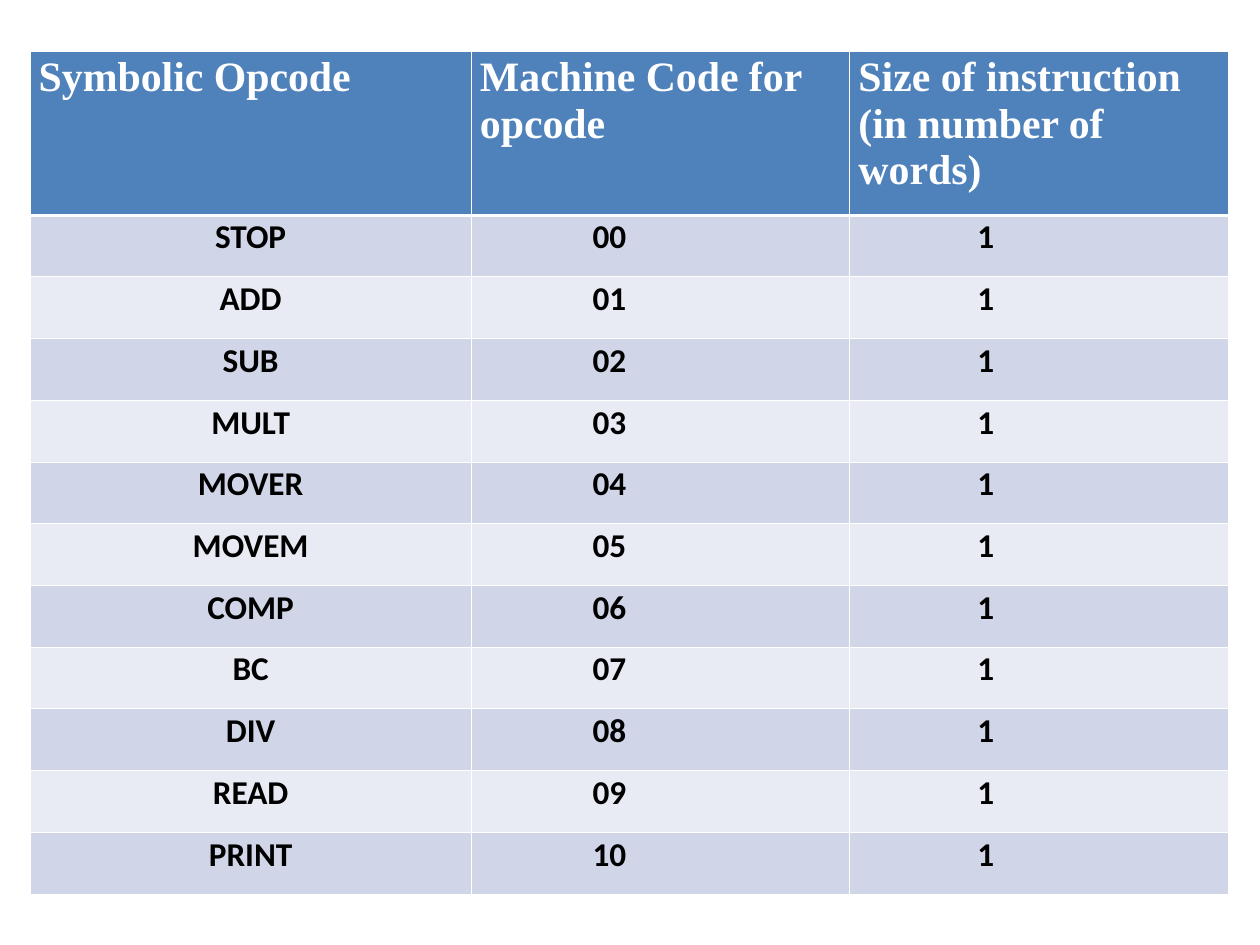
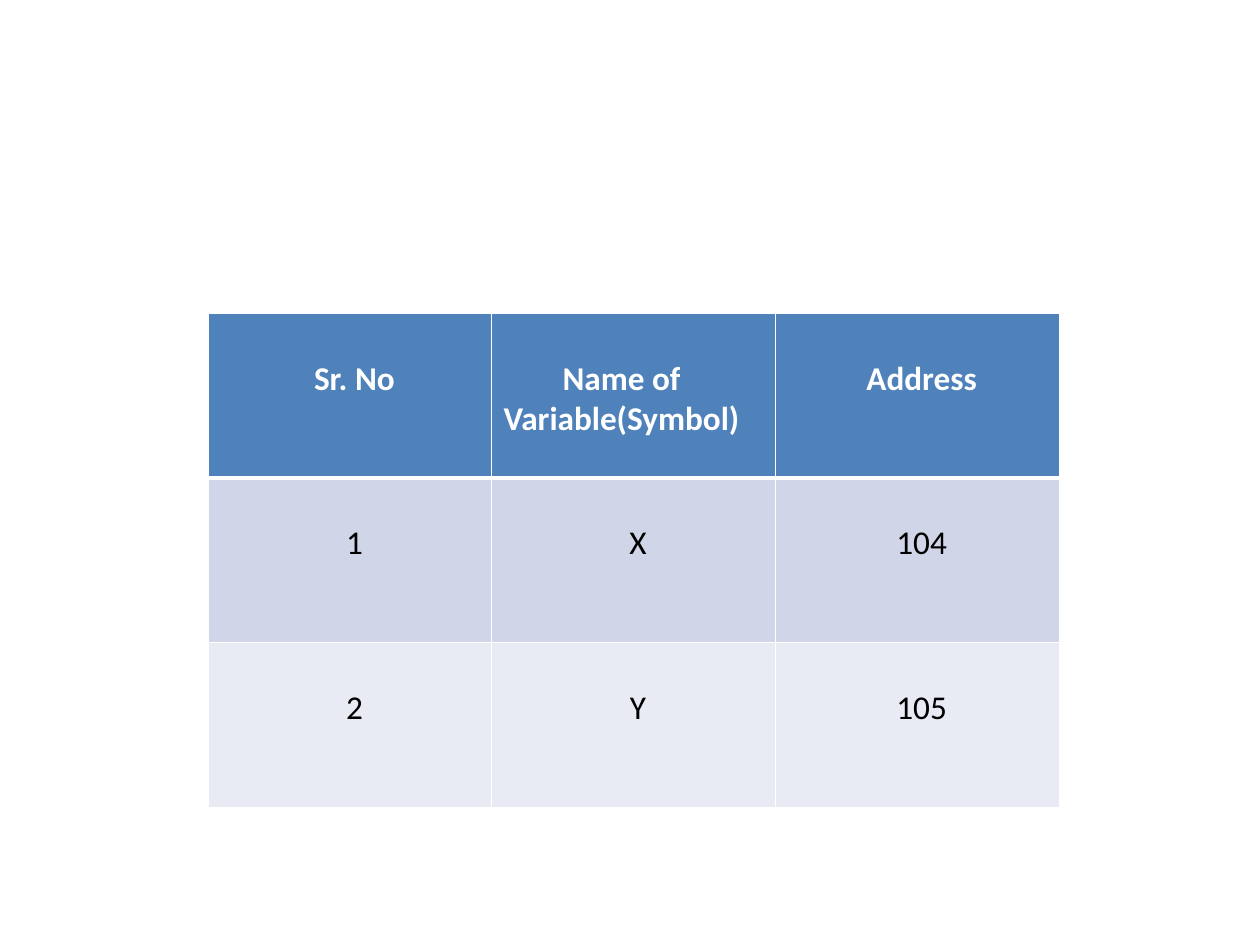
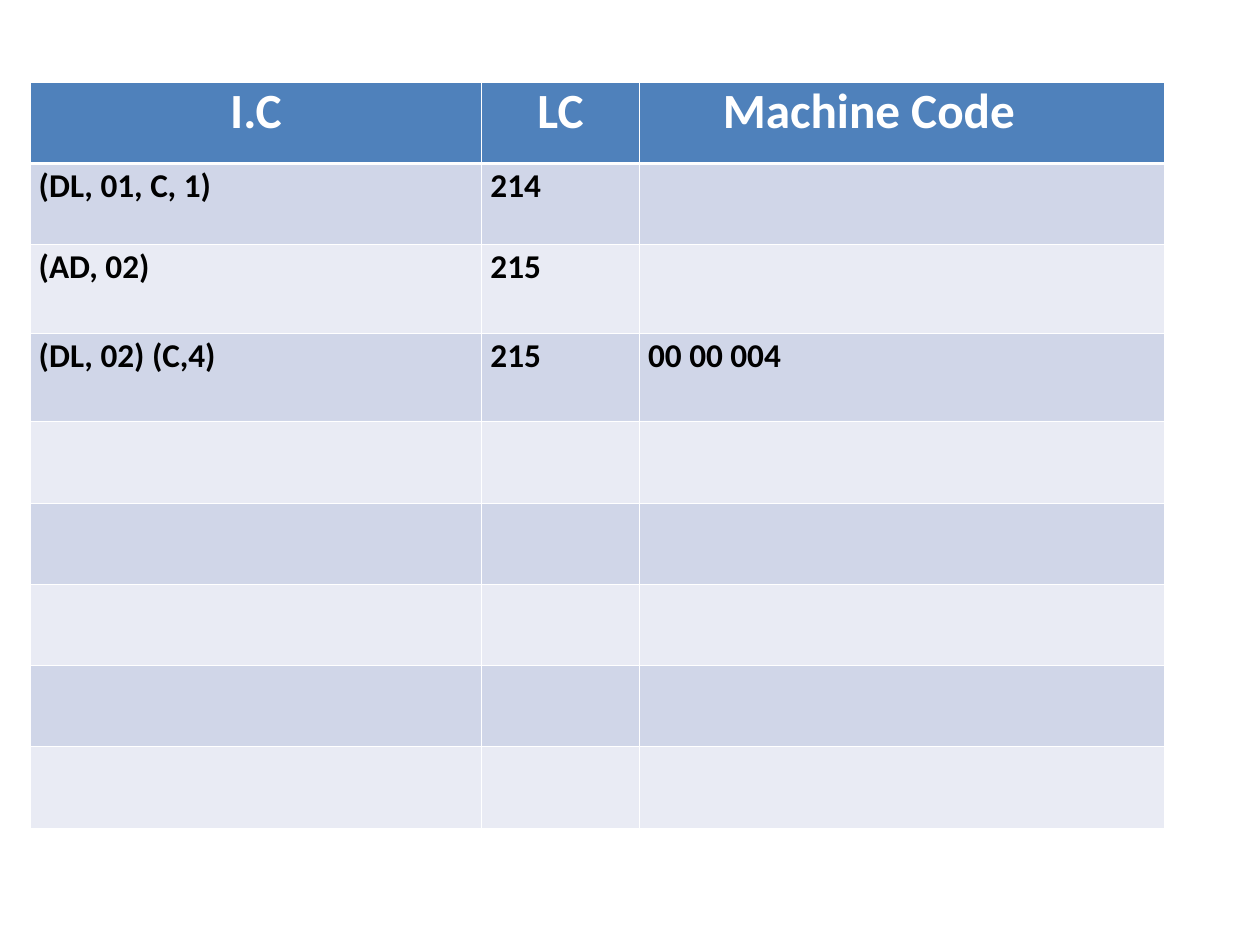
from lxml import etree
from pptx import Presentation
from pptx.dml.color import RGBColor
from pptx.enum.text import PP_ALIGN
from pptx.oxml.ns import qn
from pptx.util import Cm, Pt

LEFT, CENTER = PP_ALIGN.LEFT, PP_ALIGN.CENTER
WHITE = RGBColor(0xFF, 0xFF, 0xFF)
BLACK = RGBColor(0x00, 0x00, 0x00)
HEADER_BLUE = RGBColor(0x4F, 0x81, 0xBB)
BANDS = (RGBColor(0xD0, 0xD6, 0xE8), RGBColor(0xE9, 0xEB, 0xF4))
THIN, THICK = Pt(1), Pt(3)


def set_border(cell, side, width):
    ln = etree.SubElement(cell._tc.get_or_add_tcPr(), qn(f"a:ln{side}"), w=str(width))
    fill = etree.SubElement(ln, qn("a:solidFill"))
    etree.SubElement(fill, qn("a:srgbClr"), val=str(WHITE))


def set_text(cell, text, size=27, font="Calibri", bold=True, color=BLACK,
             align=LEFT, left=0, top=0.06, right=0, line=None):
    cell.margin_left, cell.margin_top = Cm(left), Cm(top)
    cell.margin_right, cell.margin_bottom = Cm(right), Cm(0)
    p = cell.text_frame.paragraphs[0]
    p.alignment = align
    if line:
        p.line_spacing = Pt(line)
    if not text:
        return
    r = p.add_run()
    r.text = text
    r.font.size, r.font.name, r.font.bold = Pt(size), font, bold
    r.font.color.rgb = color


def style_cell(cell, row):
    top = THICK if row == 1 else THIN
    bottom = THICK if row == 0 else THIN
    for side, width in (("L", THIN), ("R", THIN), ("T", top), ("B", bottom)):
        set_border(cell, side, width)
    cell.fill.solid()
    cell.fill.fore_color.rgb = BANDS[(row - 1) % 2] if row else HEADER_BLUE


def add_banded_table(s, left, top, widths, heights, rows, header_formats, body_formats):
    frame = s.shapes.add_table(len(heights), len(widths), Cm(left), Cm(top),
                               Cm(sum(widths)), Cm(sum(heights)))
    table = frame.table
    table.first_row = table.horz_banding = False
    for column, width in zip(table.columns, widths):
        column.width = Cm(width)
    for i, height in enumerate(heights):
        table.rows[i].height = Cm(height)
        texts = rows[i] if i < len(rows) else [""] * len(widths)
        formats = body_formats if i else header_formats
        for j, (text, fmt) in enumerate(zip(texts, formats)):
            cell = table.cell(i, j)
            style_cell(cell, i)
            set_text(cell, text, **fmt)


def add_opcode_slide(s):
    opcodes = ("STOP", "ADD", "SUB", "MULT", "MOVER", "MOVEM",
               "COMP", "BC", "DIV", "READ", "PRINT")
    rows = [("Symbolic Opcode", "Machine Code for opcode",
             "Size of instruction (in number of words)")]
    rows += [(name, f"{code:02d}", "1") for code, name in enumerate(opcodes)]
    header = dict(size=34, font="Times New Roman", color=WHITE, left=0.25, top=0.1)
    body = (dict(align=CENTER), dict(left=3.48), dict(left=3.66))
    add_banded_table(s, 0.86, 1.47, (12.65, 10.85, 10.85),
                     [4.7] + [1.77] * len(opcodes), rows, [header] * 3, body)


def add_symbol_slide(s):
    rows = (("Sr. No", "Name of Variable(Symbol)", "Address"),
            ("1", "X", "104"), ("2", "Y", "105"))
    body = dict(bold=False, align=CENTER, left=0.25, top=1.29)
    header = dict(body, bold=True, color=WHITE)
    name_header = dict(header, left=0.2, right=0.9)
    add_banded_table(s, 5.97, 8.99, [8.13] * 3, [4.72] * 3, rows,
                     (header, name_header, header), [body] * 3)


def add_machine_code_slide(s):
    rows = (("I.C", "LC", "Machine Code"),
            ("(DL, 01, C, 1)", "214", ""),
            ("(AD, 02)", "215", ""),
            ("(DL, 02) (C,4)", "215", "00 00 004"))
    header = dict(size=40, color=WHITE, align=CENTER, top=0, line=48)
    add_banded_table(s, 0.86, 2.36, (12.95, 4.52, 15.06),
                     [2.33] * 2 + [2.54] * 2 + [2.33] * 5, rows,
                     (header, header, dict(header, right=1.9)),
                     [dict(left=0.25)] * 3)


def main():
    prs = Presentation()
    prs.slide_width, prs.slide_height = Cm(36.12), Cm(27.1)
    for build in (add_opcode_slide, add_symbol_slide, add_machine_code_slide):
        build(prs.slides.add_slide(prs.slide_layouts[6]))
    prs.save("out.pptx")


if __name__ == "__main__":
    main()
